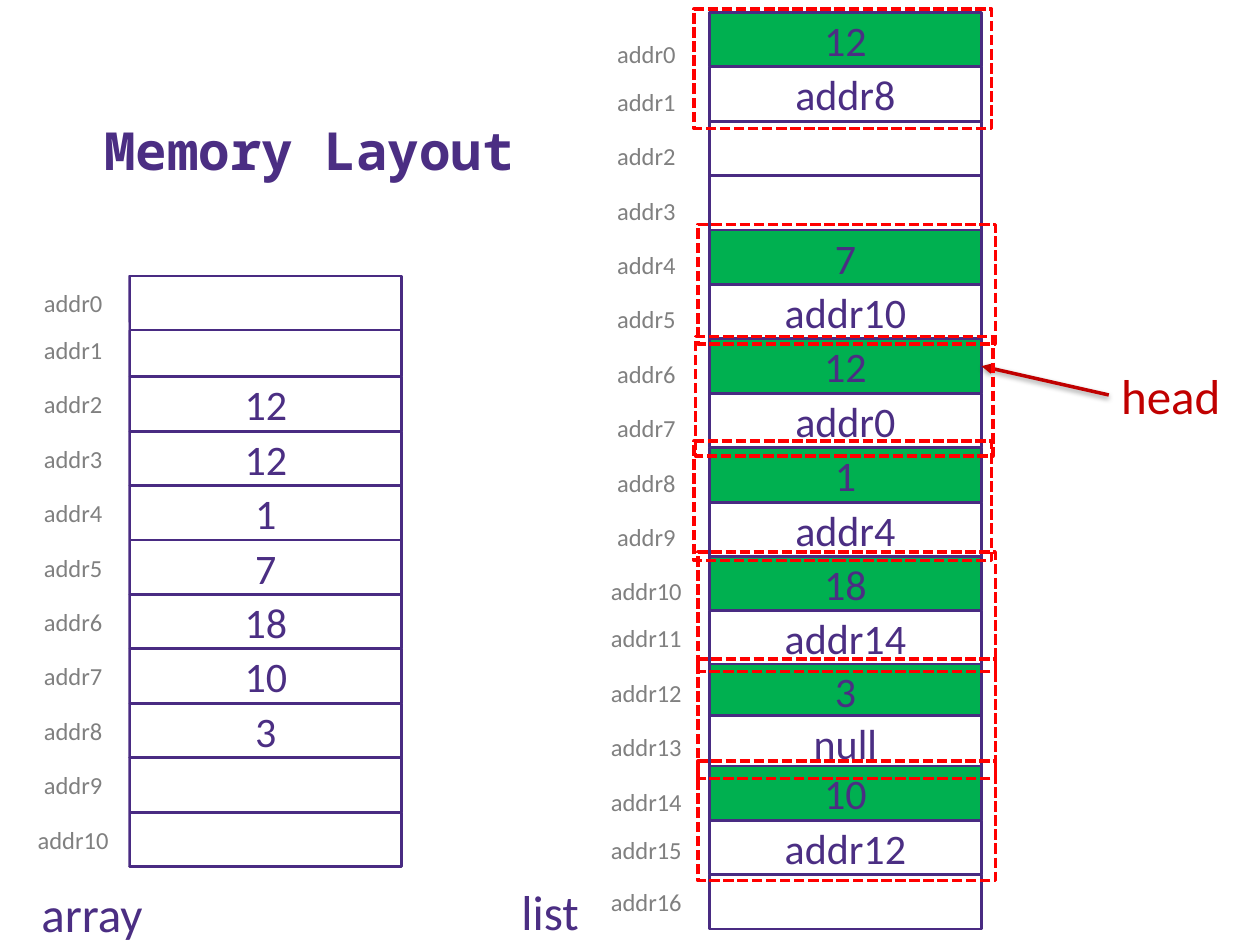
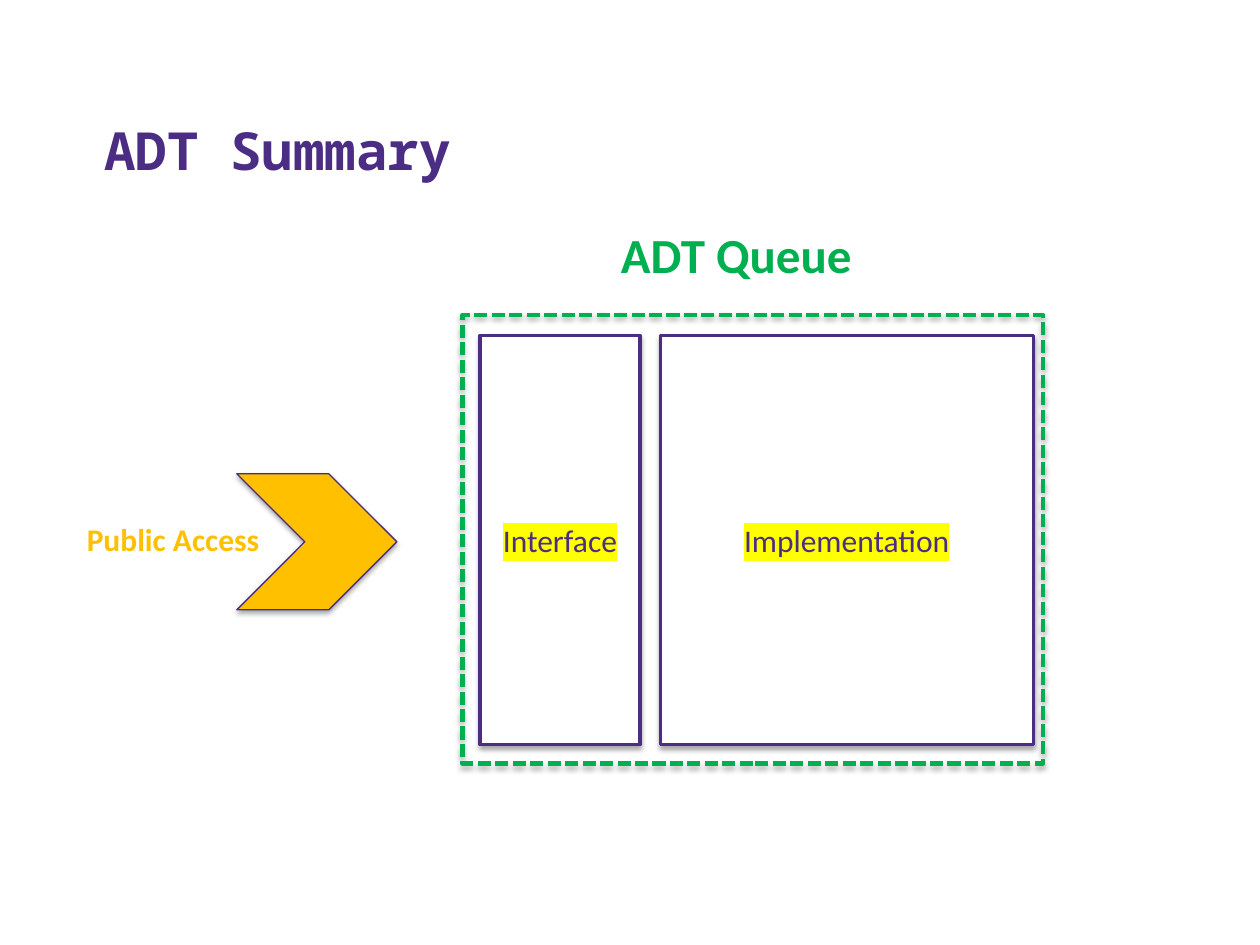
from dataclasses import dataclass

from lxml.etree import SubElement
from pptx import Presentation
from pptx.dml.color import RGBColor
from pptx.enum.dml import MSO_LINE
from pptx.enum.shapes import MSO_CONNECTOR, MSO_SHAPE
from pptx.enum.text import MSO_ANCHOR, MSO_AUTO_SIZE, PP_ALIGN
from pptx.oxml.ns import qn
from pptx.util import Inches, Pt


@dataclass(frozen=True)
class Theme:
    purple: str = "4B2E83"
    outline: str = "492B82"
    gray: str = "808080"
    green: str = "00B050"
    gold: str = "FFC000"
    red: str = "FF0000"
    dark_red: str = "C00000"
    yellow: str = "FFFF00"
    white: str = "FFFFFF"
    body_font: str = "Calibri"
    title_font: str = "Noto Sans Mono"
    title_size: int = 30
    heading_size: int = 28
    cell_size: int = 24
    label_size: int = 18
    address_size: int = 14


THEME = Theme()

ROW_HEIGHT = 0.43
ROW_PITCH = 4.75 / 11
CELL_WIDTH = 2.16

ARRAY_VALUES = ["", "", "12", "12", "1", "7", "18", "10", "3", "", ""]
LIST_VALUES = ["12", "addr8", "", "", "7", "addr10", "12", "addr0", "1",
               "addr4", "18", "addr14", "3", "null", "10", "addr12", ""]
NODE_VALUE_ROWS = {0, 4, 6, 8, 10, 12, 14}
HEAD_ROW = 6
NODE_FRAMES = [(5.51, 0.07), (5.54, 1.78), (5.52, 2.67), (5.51, 3.50),
               (5.54, 4.38), (5.54, 5.23), (5.54, 6.04)]


def rgb(color):
    return RGBColor.from_string(color)


def write_text(shape, text, size, color=THEME.purple, font=THEME.body_font,
               bold=False, align=PP_ALIGN.LEFT, anchor=MSO_ANCHOR.TOP,
               wrap=True, highlight=None):
    frame = shape.text_frame
    frame.word_wrap = wrap
    frame.vertical_anchor = anchor
    para = frame.paragraphs[0]
    para.alignment = align
    span = para.add_run()
    span.text = text
    span.font.size = Pt(size)
    span.font.name = font
    span.font.bold = bold
    span.font.color.rgb = rgb(color)
    if highlight:
        properties = span.font.fill._xPr
        mark = SubElement(properties, qn("a:highlight"))
        SubElement(mark, qn("a:srgbClr"), val=highlight)
        properties.find(qn("a:solidFill")).addnext(mark)


def set_shadow(shape, opacity, distance=1.8):
    """Replace the style's shadow; an opacity of 0 leaves none."""
    effects = SubElement(shape.element.spPr, qn("a:effectLst"))
    if opacity:
        shadow = SubElement(effects, qn("a:outerShdw"), blurRad=str(Pt(3.1)),
                            dist=str(Pt(distance)), dir="5400000",
                            rotWithShape="0")
        color = SubElement(shadow, qn("a:srgbClr"), val="000000")
        SubElement(color, qn("a:alpha"), val=str(opacity * 1000))


def add_box(slide, left, top, width, height, fill=None, line=None,
            line_width=1.5, dashed=False, shadow=0, kind=MSO_SHAPE.RECTANGLE):
    box = slide.shapes.add_shape(kind, Inches(left), Inches(top),
                                 Inches(width), Inches(height))
    if fill:
        box.fill.solid()
        box.fill.fore_color.rgb = rgb(fill)
    else:
        box.fill.background()
    if line:
        box.line.color.rgb = rgb(line)
        box.line.width = Pt(line_width)
        if dashed:
            box.line.dash_style = MSO_LINE.SQUARE_DOT
    else:
        box.line.fill.background()
    set_shadow(box, shadow)
    return box


def add_centered_text(box, text, size, **text_format):
    write_text(box, text, size, align=PP_ALIGN.CENTER,
               anchor=MSO_ANCHOR.MIDDLE, **text_format)


def add_label(slide, text, left, top, width, height=0.57,
              size=THEME.heading_size, **text_format):
    label = slide.shapes.add_textbox(Inches(left), Inches(top),
                                     Inches(width), Inches(height))
    write_text(label, text, size, wrap=False, **text_format)
    label.text_frame.auto_size = MSO_AUTO_SIZE.SHAPE_TO_FIT_TEXT
    return label


def add_titled_slide(deck, title):
    slide = deck.slides.add_slide(deck.slide_layouts[6])
    box = slide.shapes.add_textbox(Inches(0.73), Inches(0.41),
                                   Inches(8.95), Inches(1.08))
    write_text(box, title, THEME.title_size, font=THEME.title_font,
               bold=True, anchor=MSO_ANCHOR.BOTTOM)
    return slide


def stack_tops(*runs):
    """Turn (first top, row count) runs into the top of every row."""
    return [first + row * ROW_PITCH for first, count in runs
            for row in range(count)]


def add_addresses(slide, left, width, tops):
    for row, top in enumerate(tops):
        box = add_box(slide, left, top, width, ROW_HEIGHT, fill=THEME.white)
        add_centered_text(box, f"addr{row}", THEME.address_size,
                          color=THEME.gray)


def add_cell(slide, left, top, value, fill=THEME.white):
    cell = add_box(slide, left, top, CELL_WIDTH, ROW_HEIGHT, fill=fill,
                   line=THEME.outline)
    if value:
        add_centered_text(cell, value, THEME.cell_size)
    return cell


def add_arrow(slide, start, start_side, end, end_side):
    arrow = slide.shapes.add_connector(MSO_CONNECTOR.STRAIGHT, 0, 0, 0, 0)
    arrow.begin_connect(start, start_side)
    arrow.end_connect(end, end_side)
    arrow.line.color.rgb = rgb(THEME.dark_red)
    arrow.line.width = Pt(2)
    SubElement(arrow.line._get_or_add_ln(), qn("a:tailEnd"), type="triangle")
    set_shadow(arrow, 38, distance=1.6)


def draw_array(slide):
    tops = stack_tops((2.19, 1), (2.56, 10))
    # The upper cells overlap the ones below, so the first is drawn last.
    for top, value in reversed(list(zip(tops, ARRAY_VALUES))):
        add_cell(slide, 1.03, top, value)
    add_addresses(slide, 0.14, 0.88, tops)
    add_label(slide, "array", 0.23, 6.96, 1.01)


def draw_list(slide):
    add_addresses(slide, 4.68, 0.9, stack_tops(
        (0.21, 1), (0.59, 10), (4.85, 4), (6.53, 1), (6.94, 1)))
    tops = stack_tops((0.10, 12), (5.27, 1), (5.68, 1), (6.08, 3))
    cells = [add_cell(slide, 5.63, top, value,
                      THEME.green if row in NODE_VALUE_ROWS else THEME.white)
             for row, (top, value) in enumerate(zip(tops, LIST_VALUES))]
    head = add_label(slide, "head", 8.8, 2.85, 1, color=THEME.dark_red)
    add_arrow(slide, head, 1, cells[HEAD_ROW], 3)
    add_label(slide, "list", 4.04, 6.95, 0.66)
    for left, top in NODE_FRAMES:
        add_box(slide, left, top, 2.36, 0.95, line=THEME.red, line_width=2,
                dashed=True)


def draw_queue(slide):
    for text, left, width in [("Implementation", 5.24, 2.96),
                              ("Interface", 3.81, 1.27)]:
        part = add_box(slide, left, 2.66, width, 3.25, fill=THEME.white,
                       line=THEME.purple, line_width=1.75, shadow=35)
        add_centered_text(part, text, THEME.label_size,
                          highlight=THEME.yellow)
    add_label(slide, "ADT Queue", 4.83, 1.73, 2.05, color=THEME.green,
              bold=True)
    add_box(slide, 1.88, 3.76, 1.27, 1.08, fill=THEME.gold,
            line=THEME.outline, line_width=0.75, shadow=35,
            kind=MSO_SHAPE.CHEVRON)
    add_box(slide, 3.67, 2.5, 4.61, 3.56, line=THEME.green, line_width=2.5,
            dashed=True, shadow=35)
    add_label(slide, "Public Access", 0.59, 4.08, 1.58, 0.4,
              size=THEME.label_size, color=THEME.gold, bold=True)


def main():
    deck = Presentation()
    deck.slide_width = Inches(10)
    deck.slide_height = Inches(7.5)

    memory_slide = add_titled_slide(deck, "Memory Layout")
    draw_array(memory_slide)
    draw_list(memory_slide)

    summary_slide = add_titled_slide(deck, "ADT Summary")
    draw_queue(summary_slide)

    deck.save("out.pptx")


if __name__ == "__main__":
    main()
